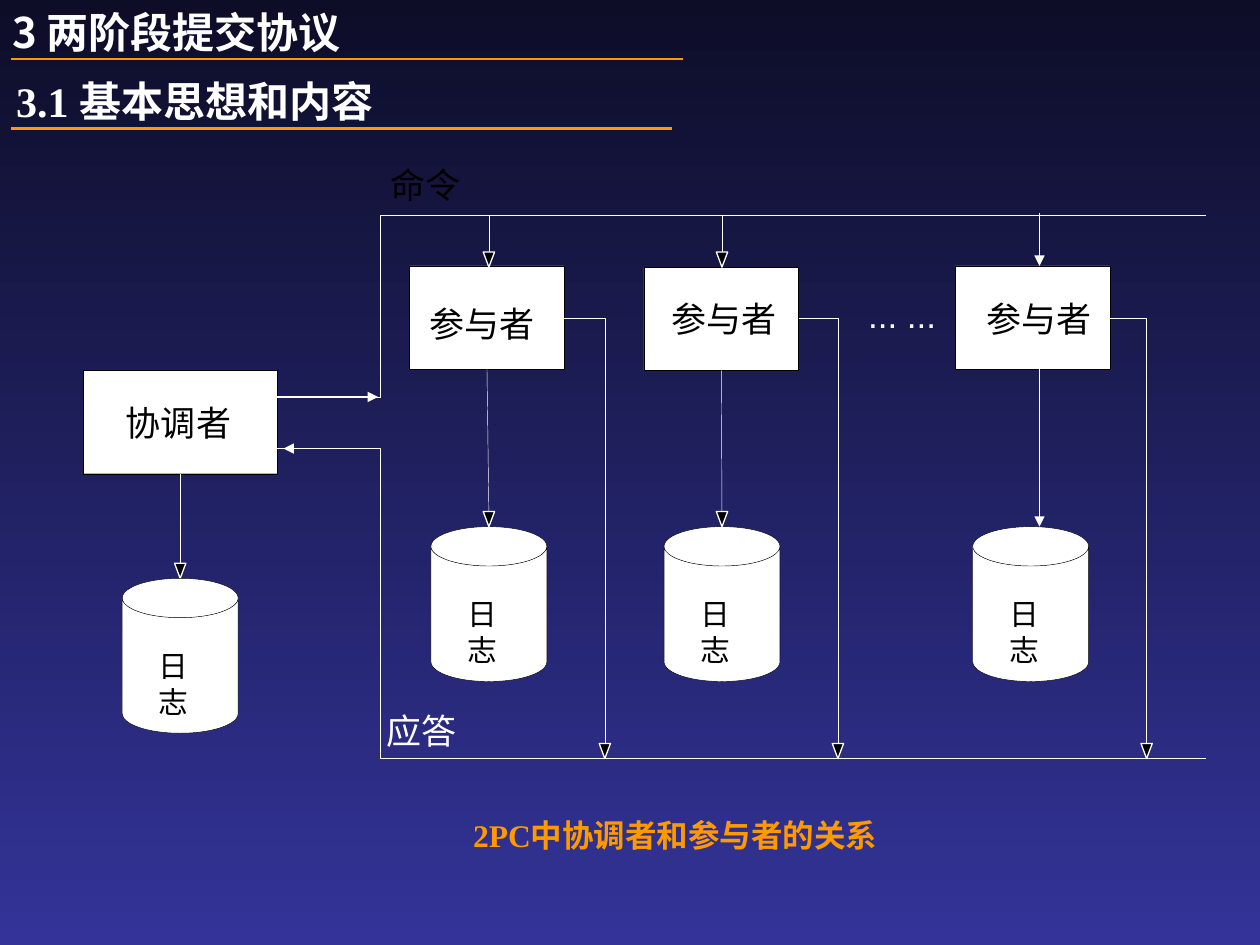
from lxml.etree import SubElement
from pptx import Presentation
from pptx.dml.color import RGBColor
from pptx.enum.dml import MSO_LINE_DASH_STYLE as Dash
from pptx.enum.shapes import MSO_CONNECTOR as Connector, MSO_SHAPE as Shape
from pptx.enum.text import PP_ALIGN as Align
from pptx.oxml.ns import qn
from pptx.util import Inches, Pt

WHITE, BLACK, ORANGE = "FFFFFF", "000000", "FF9900"
SANS, SERIF, CHINESE = "Arial", "Times New Roman", "Noto Sans CJK SC"
HAIR, THIN, RULE = 0.25, 0.75, 1.5

HEADINGS = [
    ("3 两阶段提交协议", 0, 0, CHINESE, 0.47, 5.42),
    ("3.1 基本思想和内容", 0.03, 0.55, SERIF, 1.02, 5.33),
]
COORDINATOR = (0.66, 2.94, 1.54, 0.82)
PARTICIPANTS = [
    {"center": 3.88, "box": (3.25, 2.11), "label": (3.41, 2.4)},
    {"center": 5.73, "box": (5.11, 2.12), "label": (5.33, 2.36)},
    {"center": 8.18, "box": (7.58, 2.11), "label": (7.83, 2.36), "arrow": 8.25},
]
BOX_WIDTH, BOX_HEIGHT = 1.23, 0.82
LOG_WIDTH, LOG_HEIGHT, LOG_TOP = 0.92, 1.23, 4.18
HEAD_WIDTH, HEAD_HEIGHT = 0.09, 0.12
COMMAND_Y, REPLY_Y, BUS_X = 1.71, 6.02, 3.02
SEND_Y, RECEIVE_Y, ANSWER_Y = 3.15, 3.56, 2.53
RAILS = [
    (SEND_Y, COMMAND_Y, 7.26),
    (RECEIVE_Y, REPLY_Y, 7.42),
]
LABELS = [
    ("命令", 3.1, 1.3, BLACK),
    ("应答", 3.07, 5.63, WHITE),
    ("... ...", 6.89, 2.33, WHITE),
    ("协调者", 1, 3.19, BLACK),
]

deck = Presentation()
deck.slide_width, deck.slide_height = Inches(10), Inches(7.5)
page = deck.slides.add_slide(deck.slide_layouts[6])
shapes = page.shapes


def color(value):
    return RGBColor.from_string(value)


def add_text(text, left, top, width, height, size=20, font=SANS, ink=BLACK,
             bold=False, align=Align.LEFT, inset=(0, 0), wrap=False):
    box = shapes.add_textbox(Inches(left), Inches(top), Inches(width), Inches(height))
    frame = box.text_frame
    frame.word_wrap = wrap
    frame.margin_left = frame.margin_right = Inches(inset[0])
    frame.margin_top = frame.margin_bottom = Inches(inset[1])
    para = frame.paragraphs[0]
    para.alignment = align
    span = para.add_run()
    span.text = text
    span.font.size, span.font.bold, span.font.name = Pt(size), bold, font
    span.font.color.rgb = color(ink)
    SubElement(span.font._element, qn("a:ea"), typeface=CHINESE)


def paint(shape, fill, line, weight):
    shape.shadow.inherit = False
    if fill:
        shape.fill.solid()
        shape.fill.fore_color.rgb = color(fill)
    else:
        shape.fill.background()
    shape.line.color.rgb = color(line)
    shape.line.width = Pt(weight)


def add_block(kind, left, top, width, height, fill=WHITE, line=BLACK, weight=HAIR):
    shape = shapes.add_shape(kind, Inches(left), Inches(top), Inches(width), Inches(height))
    paint(shape, fill, line, weight)
    return shape


def add_line(x1, y1, x2, y2, ink=WHITE, weight=HAIR, dash=None, arrow=False, start=None):
    line = shapes.add_connector(Connector.STRAIGHT, Inches(x1), Inches(y1), Inches(x2), Inches(y2))
    if start is not None:
        line.begin_connect(start, 2)
    line.line.color.rgb = color(ink)
    line.line.width = Pt(weight)
    if dash:
        line.line.dash_style = dash
    if arrow:
        SubElement(line.line._get_or_add_ln(), qn("a:tailEnd"), type="triangle")
    SubElement(line._element.spPr, qn("a:effectLst"))


def add_path(*points):
    corners = [(Inches(x), Inches(y)) for x, y in points]
    builder = shapes.build_freeform(*corners[0])
    builder.add_line_segments(corners[1:], close=False)
    paint(builder.convert_to_shape(), None, WHITE, HAIR)


def add_head(x, tip):
    add_block(Shape.FLOWCHART_MERGE, x - HEAD_WIDTH / 2, tip - HEAD_HEIGHT,
              HEAD_WIDTH, HEAD_HEIGHT, BLACK, WHITE, THIN)


def add_log(center, top):
    left = center - LOG_WIDTH / 2
    can = add_block(Shape.CAN, left, top, LOG_WIDTH, LOG_HEIGHT)
    can.adjustments[0] = 0.34
    add_text("日志", left + 0.29, top + 0.55, 0.47, 0.28, size=17)


def add_drop(x, top, tip, start=None):
    add_line(x, top, x, tip - HEAD_HEIGHT + 0.01, start=start)
    add_head(x, tip)


background = page.background.fill
background.gradient()
background.gradient_angle = 270
for stop, shade, position in zip(background.gradient_stops, ("0D0D28", "333399"), (0, 1)):
    stop.color.rgb = color(shade)
    stop.position = position

for text, left, top, font, rule_y, rule_end in HEADINGS:
    add_text(text, left, top, 5.84, 0.5, size=24, font=font, ink=WHITE, bold=True,
             inset=(0.1, 0.05), wrap=True)
    add_line(0.09, rule_y, rule_end, rule_y, ORANGE, RULE)

coordinator = add_block(Shape.RECTANGLE, *COORDINATOR)
coordinator_right = COORDINATOR[0] + COORDINATOR[2]
add_drop(1.43, COORDINATOR[1] + COORDINATOR[3], 4.59, coordinator)
add_log(1.43, 4.59)

for port_y, rail_y, dots_end in RAILS:
    add_path((coordinator_right, port_y), (BUS_X, port_y), (BUS_X, rail_y), (6.8, rail_y))
    add_line(6.8, rail_y, dots_end, rail_y, dash=Dash.ROUND_DOT)
    add_line(dots_end, rail_y, 9.26, rail_y)
    add_line(9.26, rail_y, 9.57, rail_y, dash=Dash.ROUND_DOT)
add_line(2.16, SEND_Y, 3, SEND_Y, weight=THIN, arrow=True)
add_line(3, RECEIVE_Y, 2.25, RECEIVE_Y, weight=THIN, arrow=True)

for member in PARTICIPANTS:
    center, (left, top) = member["center"], member["box"]
    bottom = top + BOX_HEIGHT
    box = add_block(Shape.RECTANGLE, left, top, BOX_WIDTH, BOX_HEIGHT)
    add_text("参与者", *member["label"], 0.84, 0.33)
    add_log(center, LOG_TOP)
    if "arrow" in member:
        x = member["arrow"]
        add_line(x, COMMAND_Y - 0.02, x, top, weight=THIN, arrow=True)
        add_line(x, bottom, x, LOG_TOP, weight=THIN, arrow=True)
    else:
        add_drop(center, COMMAND_Y, 2.12)
        add_drop(center, bottom, LOG_TOP, box)
    answer_x = center + 0.92
    add_path((left + BOX_WIDTH, ANSWER_Y), (answer_x, ANSWER_Y),
             (answer_x, REPLY_Y - HEAD_HEIGHT))
    add_head(answer_x, REPLY_Y)

for text, left, top, ink in LABELS:
    add_text(text, left, top, 0.28 * len(text), 0.33, ink=ink)

add_text("2PC中协调者和参与者的关系", 2.72, 6.43, 5.28, 0.4, size=18, font=SERIF, ink=ORANGE,
         bold=True, align=Align.CENTER, inset=(0.1, 0.05), wrap=True)

deck.save("out.pptx")
